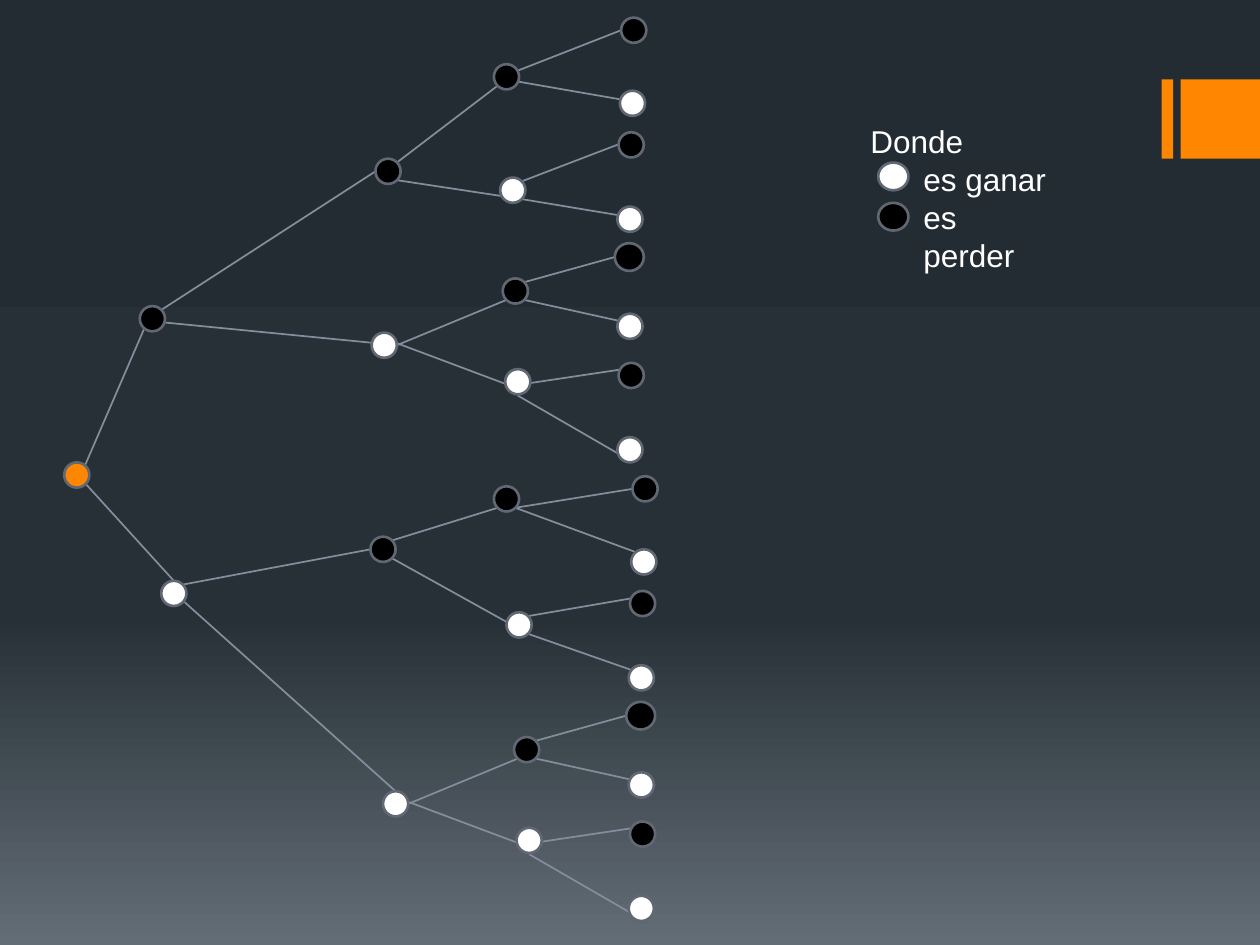
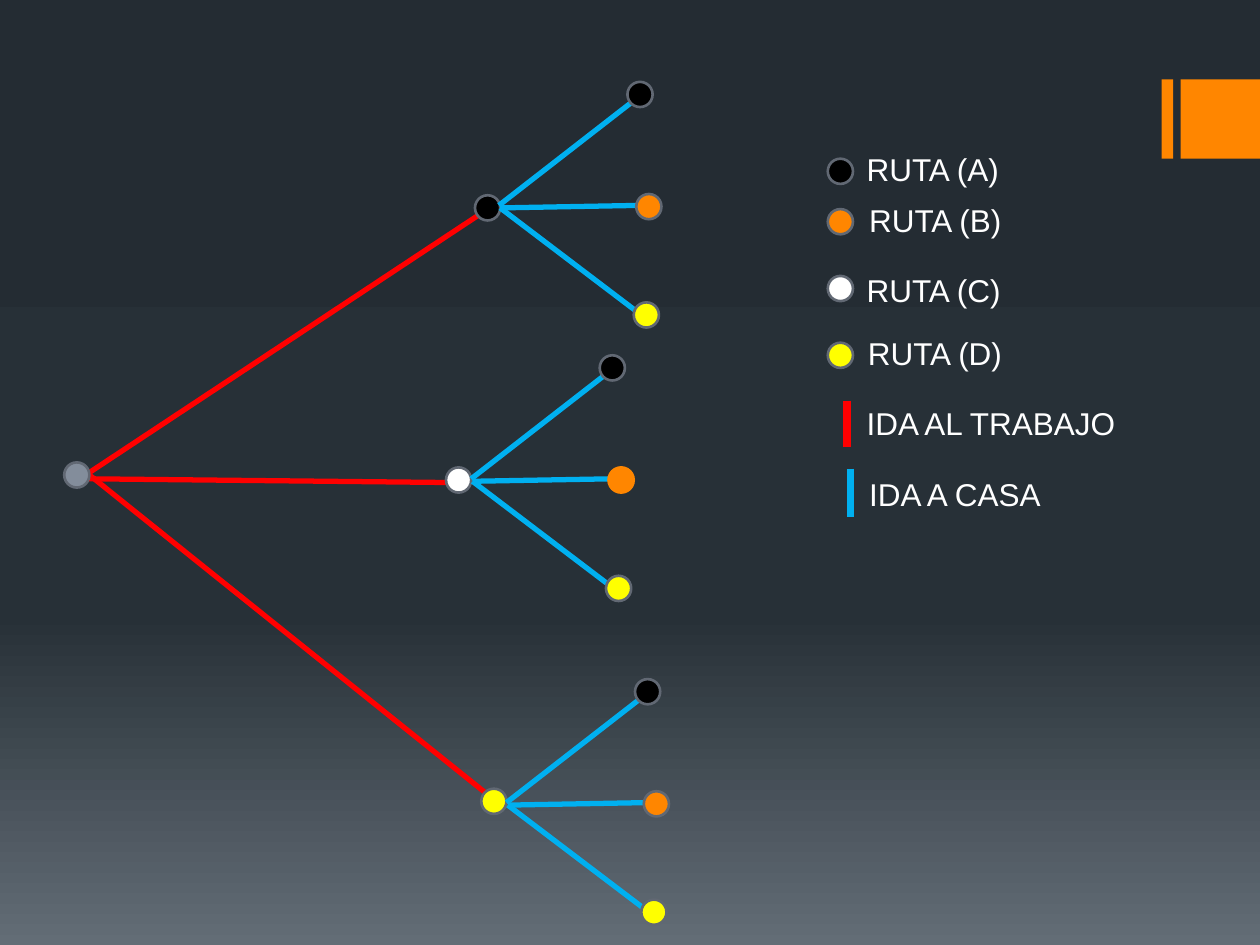
"""Builds two probability tree slides."""
from copy import deepcopy
from typing import NamedTuple

from pptx import Presentation
from pptx import util as u
from pptx.dml.color import RGBColor
from pptx.enum import shapes, text
from pptx.oxml import ns
from pptx.oxml import xmlchemy as xc
from pptx.oxml import parse_xml

COLS, ROWS = 10, 7.5
WIDE, HIGH = u.Inches(10), u.Inches(7.5)
FONT, SIZE = "Arial", 18
DOT = 0.2
HUES = {
    "top": "242C33", "mid": "273037", "low": "636D76",
    "orange": "FF8600", "black": "000000", "white": "FFFFFF",
    "yellow": "FFFF00", "gray": "838D9B", "rim": "616873",
    "red": "FF0000", "blue": "00B0F0",
}


class Dot(NamedTuple):
    col: float
    row: float
    hue: str
    wide: float = DOT
    high: float = DOT
    rim: str = "rim"


class Edge(NamedTuple):
    col: float
    row: float
    to_col: float
    to_row: float


class Key(NamedTuple):
    col: float
    row: float
    label: str
    wide: float = 1.93


BANDS = [(9.22, 0.09), (9.37, 0.63)]

ROOT_EDGES = [
    Edge(0.65, 3.75, 1.17, 2.55), Edge(0.68, 3.84, 1.38, 4.61),
    Edge(1.28, 2.46, 2.98, 1.36), Edge(1.21, 2.55, 3.15, 2.74),
    Edge(1.45, 4.64, 2.94, 4.36), Edge(1.31, 4.64, 3.24, 6.37),
]
LOSS_EDGES = [
    Edge(3.15, 1.29, 3.95, 0.68), Edge(3.15, 1.43, 4.14, 1.58),
    Edge(4.06, 0.58, 4.93, 0.24), Edge(4.01, 0.63, 4.93, 0.79),
    Edge(4.14, 1.44, 5.08, 1.08), Edge(4.14, 1.58, 5.1, 1.74),
    Edge(3.11, 4.29, 3.95, 4.03), Edge(3.11, 4.43, 4.19, 5.03),
    Edge(4.09, 4.03, 5.02, 3.88), Edge(4.09, 4.03, 5.04, 4.38),
    Edge(4.19, 4.89, 5.18, 4.72), Edge(4.19, 5.03, 5.19, 5.38),
]
WIN_EDGES = [
    Edge(3.15, 2.74, 4.19, 2.31), Edge(2.98, 2.66, 4.18, 3.11),
    Edge(4.16, 2.24, 4.88, 2.04), Edge(4.16, 2.38, 5.11, 2.59),
    Edge(4.21, 3.04, 5.08, 2.91), Edge(4.11, 3.14, 5.01, 3.66),
]
ROOT_DOTS = [
    Dot(0.51, 3.67, "orange"),
    Dot(1.11, 2.43, "black"), Dot(1.28, 4.61, "white"),
    Dot(2.98, 1.26, "black"), Dot(2.94, 4.26, "black"),
    Dot(3.92, 0.51, "black"), Dot(3.97, 1.41, "white"),
    Dot(3.92, 3.86, "black"), Dot(4.02, 4.86, "white"),
]
HALF_DOTS = [
    Dot(2.95, 2.64, "white"),
    Dot(3.99, 2.21, "black"), Dot(4.01, 2.93, "white"),
    Dot(4.93, 0.14, "black"), Dot(4.92, 0.72, "white"),
    Dot(4.91, 1.05, "black"), Dot(4.9, 1.64, "white"),
    Dot(4.88, 1.93, "black", 0.23, 0.22), Dot(4.9, 2.49, "white"),
    Dot(4.91, 2.88, "black"), Dot(4.9, 3.47, "white"),
]
HALVES = [(0, 0), (0.09, 3.64)]
WIN_KEYS = [Dot(6.97, 1.29, "white", 0.24, 0.22),
            Dot(6.97, 1.61, "black", 0.24, 0.22)]

WORK_EDGES = [Edge(0.71, 3.77, 3.85, 6.29), Edge(0.68, 3.77, 3.87, 1.66),
              Edge(0.7, 3.8, 3.6, 3.83)]
HUBS = [Dot(0.51, 3.67, "gray"), Dot(3.77, 1.55, "black"),
        Dot(3.54, 3.71, "white"), Dot(3.82, 6.26, "yellow")]
FAN_EDGES = [Edge(3.96, 1.63, 5.08, 0.76), Edge(3.97, 1.65, 5.08, 1.63),
             Edge(3.97, 1.65, 5.09, 2.5)]
FAN_DOTS = [Dot(4.98, 0.65, "black"), Dot(5.05, 1.54, "orange"),
            Dot(5.03, 2.4, "yellow")]
FANS = [(0, 0, "rim"), (-0.22, 2.17, "orange"), (0.06, 4.74, "rim")]
ROUTE_DOTS = [Dot(6.57, 1.26, "black"), Dot(6.57, 1.66, "orange"),
              Dot(6.57, 2.19, "white"), Dot(6.57, 2.72, "yellow")]
ROUTE_KEYS = [
    Key(6.78, 1.14, "RUTA (A)"), Key(6.8, 1.55, "RUTA (B)"),
    Key(6.78, 2.1, "RUTA (C)"), Key(6.79, 2.6, "RUTA (D)"),
    Key(6.78, 3.16, "IDA AL TRABAJO", 2.56),
    Key(6.8, 3.72, "IDA A CASA", 2.56),
]
TRIP_KEYS = [(Edge(6.72, 3.18, 6.72, 3.55), "red"),
             (Edge(6.75, 3.72, 6.75, 4.1), "blue")]


def hue(name: str) -> RGBColor:
    """Return a named colour."""
    return RGBColor.from_string(HUES[name])


def x(cols: float) -> int:
    """Turn grid columns into a length."""
    return round(WIDE * cols / COLS)


def y(rows: float) -> int:
    """Turn grid rows into a length."""
    return round(HIGH * rows / ROWS)


def shift(item, dx: float, dy: float):
    """Move a dot or an edge."""
    moved = item._replace(col=item.col + dx, row=item.row + dy)
    if isinstance(item, Edge):
        moved = moved._replace(to_col=item.to_col + dx, to_row=item.to_row + dy)
    return moved


def draw_dot(slide, dot: Dot) -> None:
    """Draw one tree node."""
    oval = slide.shapes.add_shape(
        shapes.MSO_SHAPE.OVAL, x(dot.col), y(dot.row), x(dot.wide), y(dot.high))
    oval.shadow.inherit = False
    oval.fill.solid()
    oval.fill.fore_color.rgb = hue(dot.hue)
    oval.line.color.rgb = hue(dot.rim)
    oval.line.width = u.Pt(1.5)


def draw_edge(slide, edge: Edge, tint: str, width: float) -> None:
    """Draw one tree branch."""
    line = slide.shapes.add_connector(
        shapes.MSO_CONNECTOR.STRAIGHT, x(edge.col), y(edge.row),
        x(edge.to_col), y(edge.to_row))
    line.line.color.rgb = hue(tint)
    line.line.width = u.Pt(width)
    props = line._element.spPr
    props.append(props.makeelement(ns.qn("a:effectLst"), {}))


def draw_text(slide, key: Key, high: float = 0.4, indent: float = 0) -> None:
    """Write a label, with any lines after the first indented."""
    box = slide.shapes.add_textbox(x(key.col), y(key.row), x(key.wide), y(high))
    frame = box.text_frame
    frame.word_wrap = True
    frame.auto_size = text.MSO_AUTO_SIZE.SHAPE_TO_FIT_TEXT
    frame.text = key.label
    for i, para in enumerate(frame.paragraphs):
        if i:
            para._p.get_or_add_pPr().set("marL", str(x(indent)))
        para.font.name = FONT
        para.font.size = u.Pt(SIZE)
        para.font.color.rgb = hue("white")


def paint(master) -> None:
    """Give the master its gradient."""
    fill = master.background.fill
    fill.gradient()
    fill.gradient_angle = 270
    stops = master._element.find(".//" + ns.qn("a:gsLst"))
    stops.append(deepcopy(stops[0]))
    marks = [("top", 0), ("mid", 0.65), ("low", 1)]
    for stop, (name, place) in zip(fill.gradient_stops, marks):
        stop.color.rgb = hue(name)
        stop.position = place


def add_slide(prs):
    """Add a blank slide with its orange bands."""
    slide = prs.slides.add_slide(prs.slide_layouts[6])
    for col, wide in BANDS:
        band = slide.shapes.add_shape(
            shapes.MSO_SHAPE.RECTANGLE, x(col), y(0.63), x(wide), y(0.63))
        band.shadow.inherit = False
        band.fill.solid()
        band.fill.fore_color.rgb = hue("orange")
        band.line.fill.background()
    return slide


def draw_odds(prs) -> None:
    """Draw the tree of wins and losses."""
    slide = add_slide(prs)
    edges = ROOT_EDGES + LOSS_EDGES
    edges += [shift(e, *half) for half in HALVES for e in WIN_EDGES]
    dots = ROOT_DOTS + [shift(d, *half) for half in HALVES for d in HALF_DOTS]
    for edge in edges:
        draw_edge(slide, edge, "gray", 1)
    draw_text(slide, Key(6.81, 0.92, "Donde\nes ganar\nes perder", 1.67),
              1.01, 0.42)
    for dot in dots + WIN_KEYS:
        draw_dot(slide, dot)


def draw_routes(prs) -> None:
    """Draw the tree of routes."""
    slide = add_slide(prs)
    for edge in WORK_EDGES:
        draw_edge(slide, edge, "red", 3)
    for dot in HUBS:
        draw_dot(slide, dot)
    for dx, dy, rim in FANS:
        for edge in FAN_EDGES:
            draw_edge(slide, shift(edge, dx, dy), "blue", 3)
        for dot in FAN_DOTS:
            ring = rim if dot.hue == "orange" else dot.rim
            draw_dot(slide, shift(dot, dx, dy)._replace(rim=ring))
    for dot in ROUTE_DOTS:
        draw_dot(slide, dot)
    for edge, tint in TRIP_KEYS:
        draw_edge(slide, edge, tint, 4.5)
    for key in ROUTE_KEYS:
        draw_text(slide, key)


def main() -> None:
    """Build and save the deck."""
    prs = Presentation()
    prs.slide_width, prs.slide_height = WIDE, HIGH
    paint(prs.slide_master)
    draw_odds(prs)
    draw_routes(prs)
    prs.save("out.pptx")


if __name__ == "__main__":
    main()
